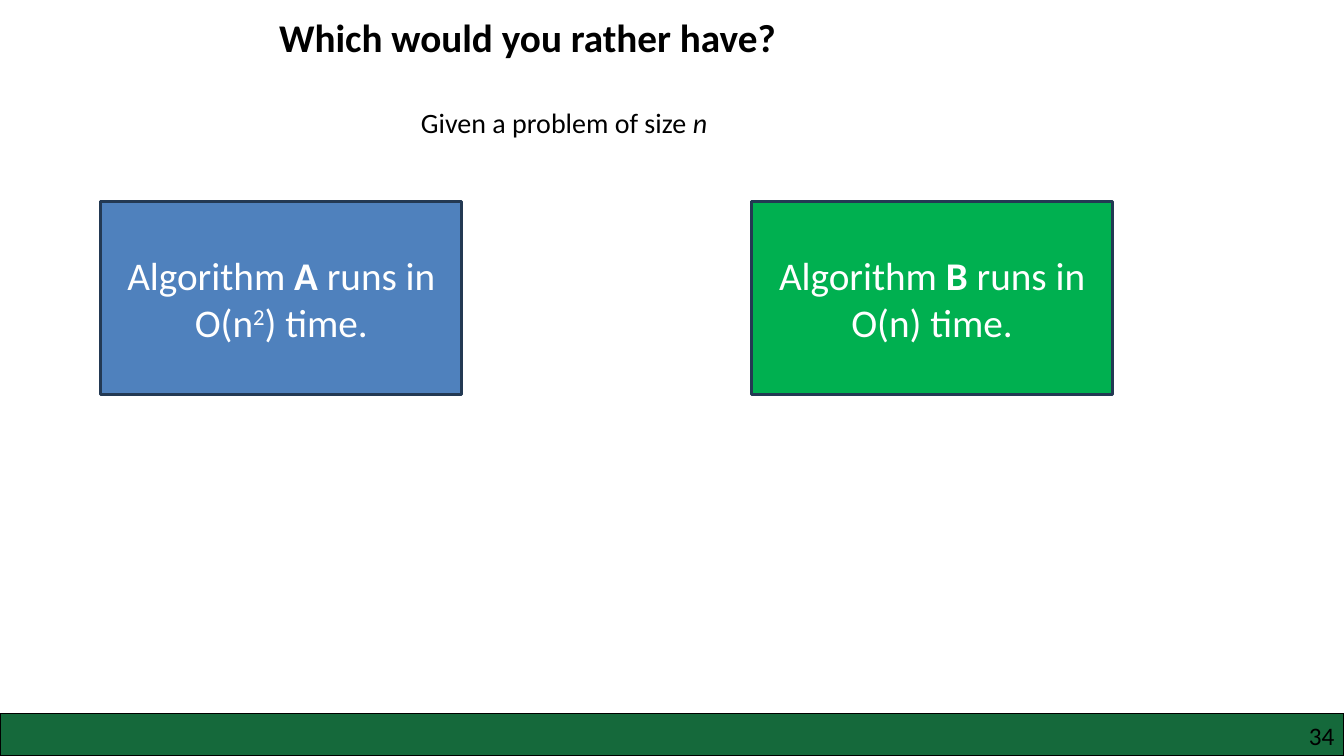
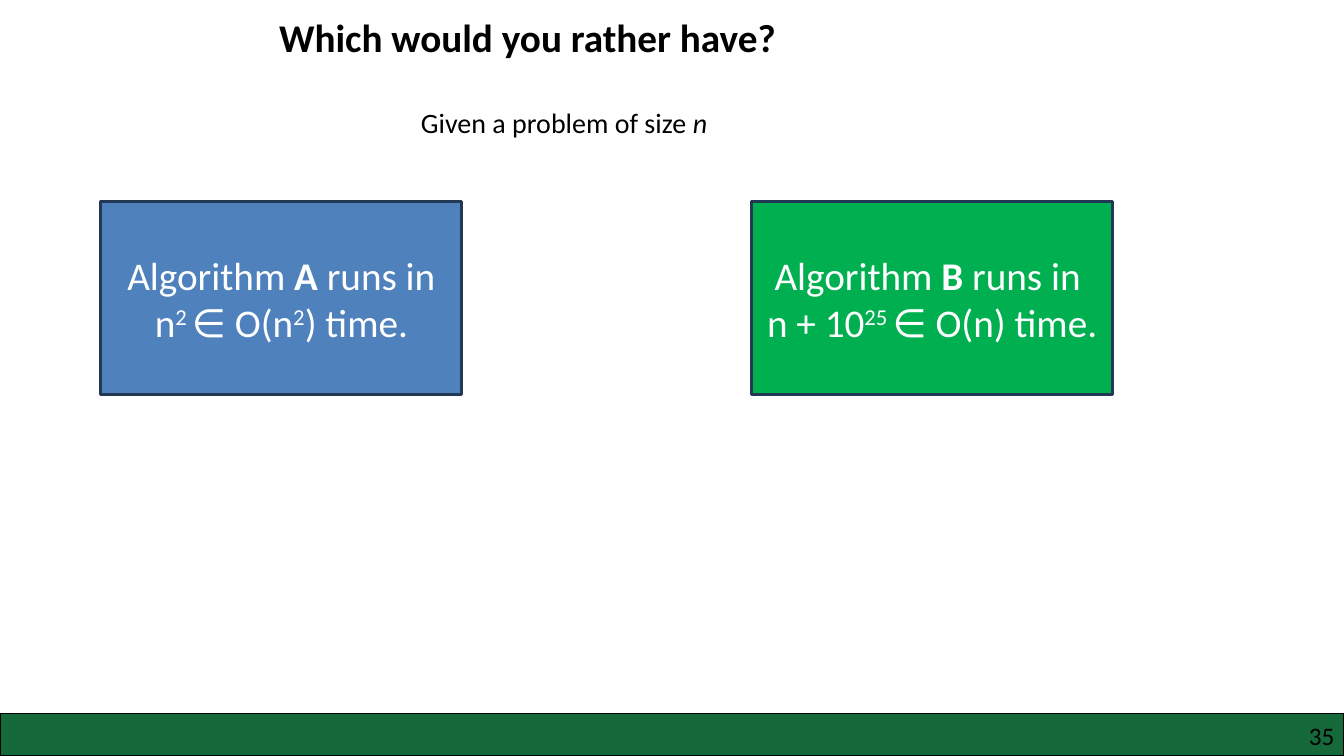
from dataclasses import dataclass
from pptx import Presentation
from pptx.dml.color import RGBColor as Rgb
from pptx.enum.shapes import MSO_SHAPE as Shape
from pptx.enum.text import MSO_ANCHOR as Anchor, MSO_AUTO_SIZE as Fit, PP_ALIGN as Align
from pptx.util import Cm, Pt


@dataclass(frozen=True)
class Theme:
    font: str = "Calibri"
    ink: str = "000000"
    white: str = "FFFFFF"
    band: str = "15693B"
    blue: str = "4F81BD"
    green: str = "00B050"
    edge: str = "233953"
    head: int = 28
    text: int = 20
    page: int = 18


@dataclass(frozen=True)
class Box:
    left: float
    top: float
    width: float
    height: float

    def lengths(self):
        return [Cm(v) for v in (self.left, self.top, self.width, self.height)]


THEME = Theme()
WIDE, HIGH = 33.87, 19.05
TITLE = Box(6.78, 0.2, 15, 1.45)
INTRO = Box(10.36, 2.54, 8.6, 1.12)
CARDS = Box(2.54, 5.08, 25.5, 4.87)
FOOT = Box(0, 17.98, WIDE, 1.07)

SUP = "sup"
BOLD = "bold"
ITALIC = "italic"

SLIDES = [
    (34,
     [[("Algorithm ",), ("A", BOLD), (" runs in O(n",), ("2", SUP), (") time.",)]],
     [[("Algorithm ",), ("B", BOLD), (" runs in O(n) time.",)]]),
    (35,
     [[("Algorithm ",), ("A", BOLD), (" runs in n",), ("2 ", SUP), ("∈ O(n",),
       ("2", SUP), (") time.",)]],
     [[("Algorithm ",), ("B", BOLD), (" runs in ",)],
      [("n + 10",), ("25 ", SUP), ("∈ O(n) time.",)]]),
]


def write(frame, lines, size, color, align=Align.LEFT, bold=False):
    for i, line in enumerate(lines):
        para = frame.paragraphs[0] if i == 0 else frame.add_paragraph()
        para.alignment = align
        font = para.font
        font.name, font.size, font.bold = THEME.font, Pt(size), bold
        font.color.rgb = Rgb.from_string(color)
        for text, *marks in line:
            run = para.add_run()
            run.text = text
            if BOLD in marks:
                run.font.bold = True
            if ITALIC in marks:
                run.font.italic = True
            if SUP in marks:
                run._r.get_or_add_rPr().set("baseline", "30000")


def block(slide, box, fill, edge, weight):
    rect = slide.shapes.add_shape(Shape.RECTANGLE, *box.lengths())
    rect.shadow.inherit = False
    rect.fill.solid()
    rect.fill.fore_color.rgb = Rgb.from_string(fill)
    rect.line.color.rgb = Rgb.from_string(edge)
    rect.line.width = Pt(weight)
    return rect


def label(slide, box):
    frame = slide.shapes.add_textbox(*box.lengths()).text_frame
    frame.word_wrap = True
    return frame


def footer(slide, box, page):
    block(slide, box, THEME.band, THEME.ink, 1)
    width = 7.8
    frame = label(slide, Box(box.left + box.width - width - 0.24, box.top + 0.18, width, 0.76))
    frame.margin_left = frame.margin_right = frame.margin_top = frame.margin_bottom = 0
    write(frame, [[(str(page),)]], THEME.page, THEME.ink, Align.RIGHT)


def header(slide, box):
    title = slide.shapes.title
    title.left, title.top, title.width, title.height = box.lengths()
    frame = title.text_frame
    frame.auto_size = Fit.NONE
    frame.word_wrap = True
    frame.vertical_anchor = Anchor.TOP
    write(frame, [[("Which would you rather have?",)]], THEME.head, THEME.ink, bold=True)


def intro(slide, box):
    write(label(slide, box), [[("Given a problem of size ",), ("n", ITALIC)]],
          THEME.text, THEME.ink)


def cards(slide, box, texts):
    width = 9.1
    step = (box.width - width) / (len(texts) - 1)
    for i, (lines, fill) in enumerate(zip(texts, (THEME.blue, THEME.green))):
        place = Box(box.left + i * step, box.top, width, box.height)
        frame = block(slide, place, fill, THEME.edge, 2).text_frame
        frame.word_wrap = True
        frame.vertical_anchor = Anchor.MIDDLE
        write(frame, lines, THEME.head, THEME.white, Align.CENTER)


def compare(deck, page, *texts):
    slide = deck.slides.add_slide(deck.slide_layouts[5])
    footer(slide, FOOT, page)
    header(slide, TITLE)
    intro(slide, INTRO)
    cards(slide, CARDS, texts)


def main():
    deck = Presentation()
    deck.slide_width, deck.slide_height = Cm(WIDE), Cm(HIGH)
    for page, left, right in SLIDES:
        compare(deck, page, left, right)
    deck.save("out.pptx")


if __name__ == "__main__":
    main()
